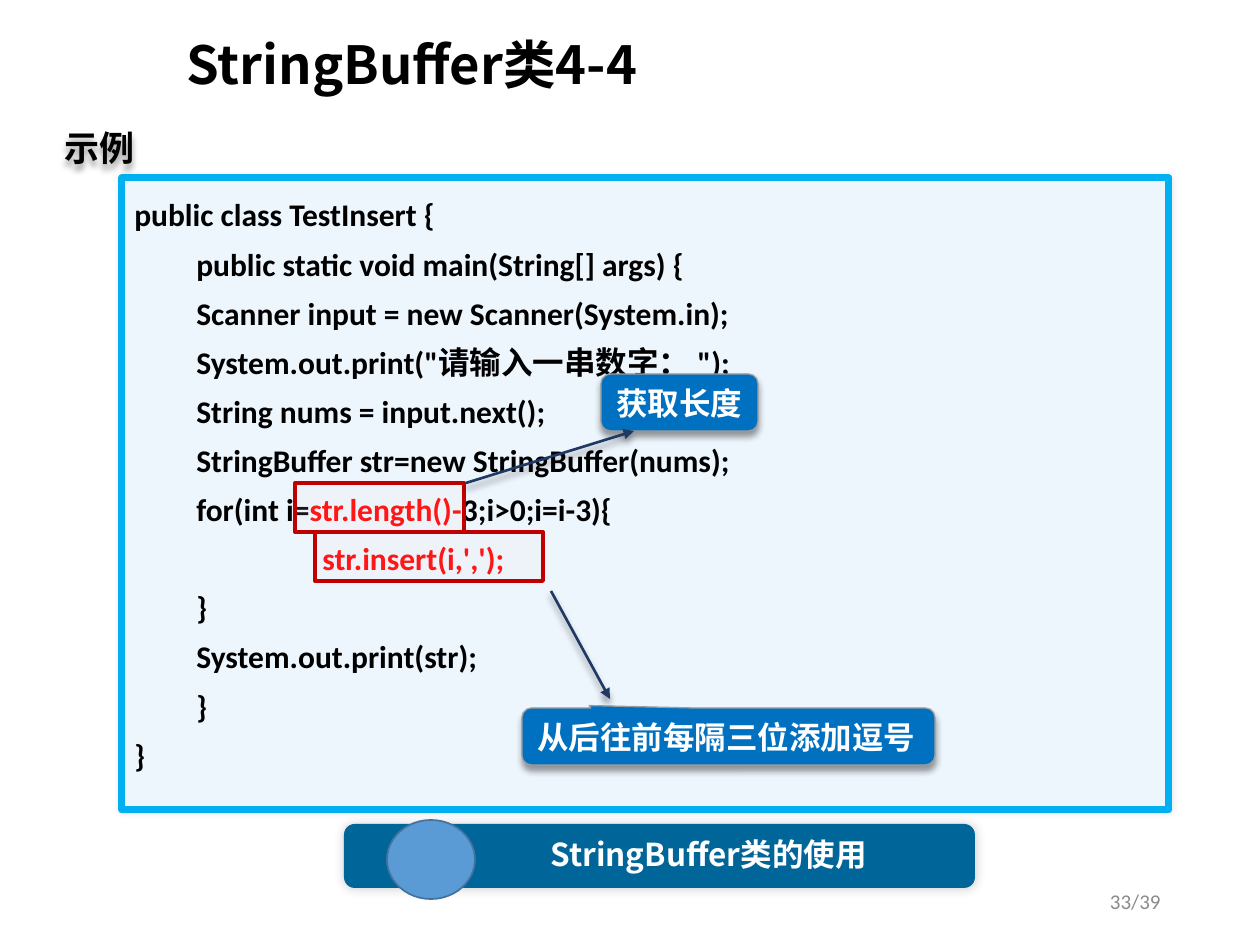
import pptx
import pptx.util
import pptx.dml.color
import pptx.enum.shapes
import pptx.enum.text
import pptx.oxml
import pptx.oxml.ns

SCALE = 914400 / 126
COLORS = {
    "black": "000000", "white": "FFFFFF", "red": "FF0000", "pale": "EDF5FD",
    "cyan": "00B0F0", "pink": "FFDDDD", "crimson": "C00000", "blue": "0070C0",
    "gray": "9D9D9D", "navy": "203864", "teal": "006599", "sky": "5B9BD5",
    "rim": "43739E", "dim": "8C8C8C",
}
SANS = "Noto Sans CJK SC"
DROP = (40, 4, 3, 90)
KINDS = pptx.enum.shapes.MSO_SHAPE
ANCHOR = pptx.enum.text.MSO_ANCHOR
ALIGN = pptx.enum.text.PP_ALIGN
CODE = [
    [("public class TestInsert {", "black")],
    [("\tpublic static void main(String[] args) {", "black")],
    [("\tScanner input = new Scanner(System.in);", "black")],
    [("\tSystem.out.print(\"请输入一串数字： \");", "black")],
    [("\tString nums = input.next();", "black")],
    [("\tStringBuffer str=new StringBuffer(nums);", "black")],
    [("\tfor(int i=", "black"), ("str.length()-", "red"), ("3;i>0;i=i-3){", "black")],
    [("\t\tstr.insert(i,',');", "red")],
    [("\t}", "black")],
    [("\tSystem.out.print(str);", "black")],
    [("\t}", "black")],
    [("}", "black")],
]


def px(num):
    """Turn px into EMU."""
    return pptx.util.Emu(round(num * SCALE))


def rgb(name):
    """Look up a colour by name."""
    return pptx.dml.color.RGBColor.from_string(COLORS[name])


def node(tag, body="", attrs=""):
    """Make a drawing element from its tag, attributes and inner XML."""
    space = pptx.oxml.ns.nsdecls("a")
    return pptx.oxml.parse_xml(f"<a:{tag} {space} {attrs}>{body}</a:{tag}>")


def shade(shape, alpha, blur, dist, angle):
    """Give a shape or line an outer shadow."""
    tone = f'<a:srgbClr val="{COLORS["black"]}"><a:alpha val="{alpha * 1000}"/></a:srgbClr>'
    body = (f'<a:outerShdw blurRad="{blur * 12700}" dist="{dist * 12700}" '
            f'dir="{angle * 60000}" rotWithShape="0">{tone}</a:outerShdw>')
    props = shape._element.spPr
    for old in props.findall(pptx.oxml.ns.qn("a:effectLst")):
        props.remove(old)
    props.append(node("effectLst", body))


def add_form(slide, kind, box, fill, line=None, width=1, adjust=(), alpha=100):
    """Add a filled preset shape."""
    shape = slide.shapes.add_shape(kind, *map(px, box))
    shape.shadow.inherit = False
    for spot, value in enumerate(adjust):
        shape.adjustments[spot] = value
    shape.fill.solid()
    shape.fill.fore_color.rgb = rgb(fill)
    if alpha < 100:
        tone = shape._element.spPr.find(".//" + pptx.oxml.ns.qn("a:srgbClr"))
        tone.append(node("alpha", attrs=f'val="{alpha * 1000}"'))
    if line:
        shape.line.color.rgb = rgb(line)
        shape.line.width = pptx.util.Pt(width)
    else:
        shape.line.fill.background()
    return shape


def style(para, size, name, color, bold=True, align=ALIGN.LEFT):
    """Set the font and alignment of a paragraph."""
    para.alignment = align
    font = para.font
    font.size = pptx.util.Pt(size)
    font.bold = bold
    font.color.rgb = rgb(color)
    font.name = name
    props = para._p.pPr.find(pptx.oxml.ns.qn("a:defRPr"))
    props.append(node("ea", attrs=f'typeface="{SANS}"'))


def put_text(shape, text, size, name, color, anchor=ANCHOR.MIDDLE, wrap=False, **more):
    """Write one line of text in a shape."""
    frame = shape.text_frame
    frame.word_wrap = wrap
    frame.vertical_anchor = anchor
    para = frame.paragraphs[0]
    para.add_run().text = text
    style(para, size, name, color, **more)


def add_label(slide, box, text, size, name, color, **more):
    """Add a text box with one line."""
    label = slide.shapes.add_textbox(*map(px, box))
    put_text(label, text, size, name, color, **more)
    return label


def add_code(slide):
    """Add the framed code listing."""
    panel = add_form(slide, KINDS.ROUNDED_RECTANGLE, (122, 178, 1047, 632),
                     "pale", "cyan", 4, [0])
    shade(panel, 10, 3, 0, 0)
    frame = panel.text_frame
    frame.word_wrap = True
    frame.vertical_anchor = ANCHOR.TOP
    stops = "".join(f'<a:tab pos="{px(stop)}" algn="l"/>' for stop in (62, 188))
    for row, parts in enumerate(CODE):
        para = frame.add_paragraph() if row else frame.paragraphs[0]
        para.line_spacing = 1.3
        para._p.get_or_add_pPr().append(node("tabLst", stops))
        style(para, 18, "Calibri", "black")
        for text, color in parts:
            run = para.add_run()
            run.text = text
            if color != "black":
                run.font.color.rgb = rgb(color)


def add_note(slide, box, text, tip):
    """Add a blue callout."""
    note = add_form(slide, KINDS.ROUNDED_RECTANGULAR_CALLOUT, box,
                    "blue", "gray", 0.75, (*tip, 0.167))
    shade(note, *DROP)
    put_text(note, text, 18, "Arial", "white", anchor=ANCHOR.BOTTOM)


def add_arrow(slide, start, end):
    """Add an arrow from start to end."""
    kind = pptx.enum.shapes.MSO_CONNECTOR.STRAIGHT
    arrow = slide.shapes.add_connector(kind, *map(px, (*start, *end)))
    arrow.line.color.rgb = rgb("navy")
    arrow.line.width = pptx.util.Pt(1.5)
    arrow.line._get_or_add_ln().append(node("tailEnd", attrs='type="triangle"'))
    shade(arrow, *DROP)


def add_banner(slide):
    """Add the bar with the topic of the example."""
    bar = add_form(slide, KINDS.ROUNDED_RECTANGLE, (344, 824, 631, 64), "teal")
    shade(bar, 20, 6, 0, 315)
    add_label(slide, (534, 829, 349, 51), "StringBuffer类的使用", 18, SANS, "white",
              anchor=ANCHOR.TOP, align=ALIGN.CENTER)
    add_form(slide, KINDS.OVAL, (387, 820, 88, 79), "sky", "rim")


def main():
    """Build and save the slide."""
    deck = pptx.Presentation()
    deck.slide_width, deck.slide_height = px(1260), px(945)
    slide = deck.slides.add_slide(deck.slide_layouts[6])
    add_code(slide)
    title = add_label(slide, (174, 13, 1086, 110), "StringBuffer类4-4", 30, SANS,
                      "black", wrap=True)
    title.text_frame.paragraphs[0].line_spacing = 0.9
    for box in ((315, 532, 228, 49), (295, 483, 169, 49)):
        add_form(slide, KINDS.RECTANGLE, box, "pink", "crimson", 2.25, alpha=10)
    add_note(slide, (522, 708, 413, 57), "从后往前每隔三位添加逗号", (-0.337, -0.543))
    add_note(slide, (601, 374, 157, 57), "获取长度", (-0.285, 0.501))
    head = add_label(slide, (52, 120, 97, 55), "示例", 20, SANS, "black")
    shade(head, *DROP)
    add_arrow(slide, (466, 483), (634, 431))
    add_arrow(slide, (551, 591), (610, 699))
    add_banner(slide)
    add_label(slide, (890, 876, 283, 50), "33/39", 12, "Calibri", "dim",
              wrap=True, bold=False, align=ALIGN.RIGHT)
    deck.save("out.pptx")


if __name__ == "__main__":
    main()
